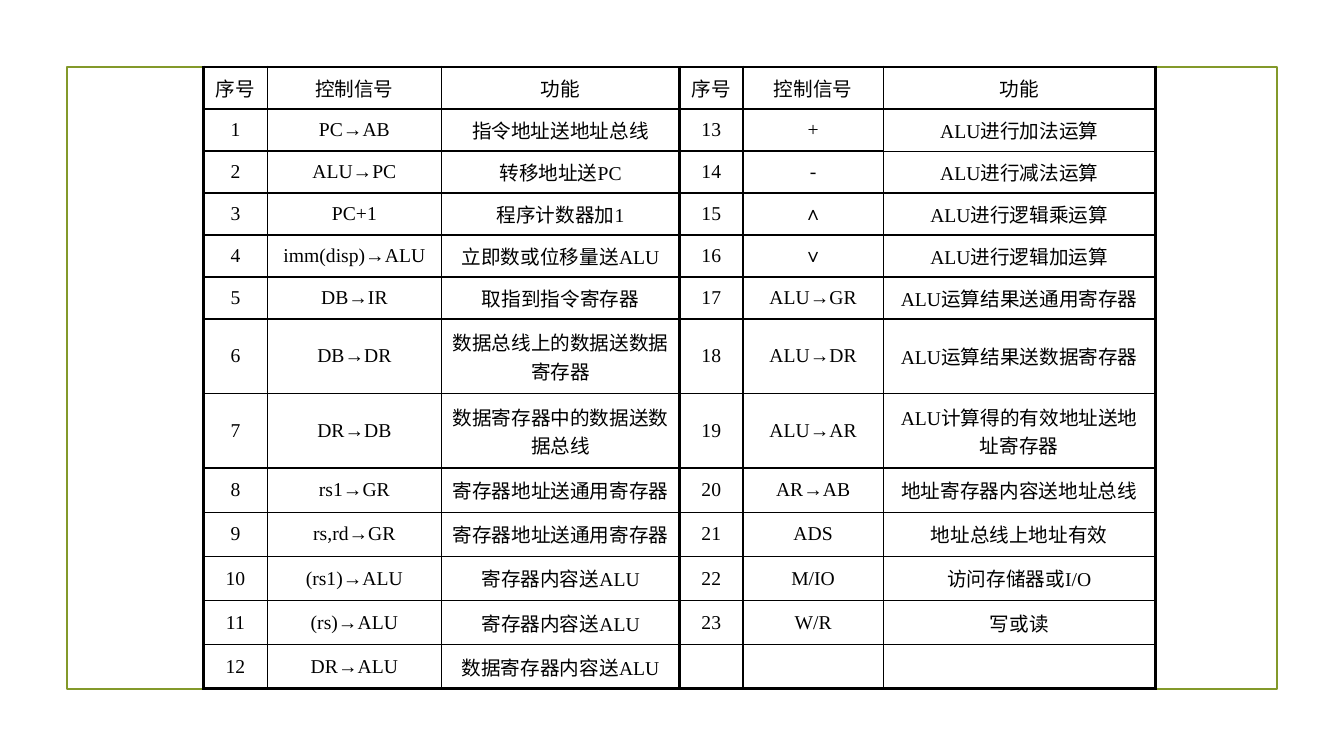
"""Build a slide with a table of CPU control signals and their functions."""
from lxml import etree
from pptx import Presentation
from pptx.dml.color import RGBColor
from pptx.enum.shapes import MSO_SHAPE
from pptx.enum.text import MSO_ANCHOR, PP_ALIGN
from pptx.oxml.ns import qn
from pptx.util import Inches, Pt

HEADER = ("序号", "控制信号", "功能")
SIGNALS = [
    ("PC→AB", "指令地址送地址总线"),
    ("ALU→PC", "转移地址送PC"),
    ("PC+1", "程序计数器加1"),
    ("imm(disp)→ALU", "立即数或位移量送ALU"),
    ("DB→IR", "取指到指令寄存器"),
    ("DB→DR", "数据总线上的数据送数据寄存器"),
    ("DR→DB", "数据寄存器中的数据送数据总线"),
    ("rs1→GR", "寄存器地址送通用寄存器"),
    ("rs,rd→GR", "寄存器地址送通用寄存器"),
    ("(rs1)→ALU", "寄存器内容送ALU"),
    ("(rs)→ALU", "寄存器内容送ALU"),
    ("DR→ALU", "数据寄存器内容送ALU"),
    ("+", "ALU进行加法运算"),
    ("-", "ALU进行减法运算"),
    ("∧", "ALU进行逻辑乘运算"),
    ("∨", "ALU进行逻辑加运算"),
    ("ALU→GR", "ALU运算结果送通用寄存器"),
    ("ALU→DR", "ALU运算结果送数据寄存器"),
    ("ALU→AR", "ALU计算得的有效地址送地址寄存器"),
    ("AR→AB", "地址寄存器内容送地址总线"),
    ("ADS", "地址总线上地址有效"),
    ("M/IO", "访问存储器或I/O"),
    ("W/R", "写或读"),
]

SLIDE_WIDTH, SLIDE_HEIGHT = 13.33, 7.5
FRAME_WIDTH, FRAME_HEIGHT = 12, 6.17
FRAME_LEFT = (SLIDE_WIDTH - FRAME_WIDTH) / 2
FRAME_TOP = (SLIDE_HEIGHT - FRAME_HEIGHT) / 2
TABLE_LEFT = 2.02
COLUMN_WIDTHS = [0.63, 1.73, 2.36, 0.63, 1.39, 2.7]
ROW_HEIGHTS = [2.5 / 6] * 6 + [0.74] * 2 + [2.19 / 5] * 5

BLACK = RGBColor(0x00, 0x00, 0x00)
OLIVE = RGBColor(0x83, 0x99, 0x2A)
FONT, FONT_SIZE = "Times New Roman", 14
THICK, THIN, HAIRLINE = 2.25, 1, 0.25
CENTER, MIDDLE = PP_ALIGN.CENTER, MSO_ANCHOR.MIDDLE
RECTANGLE = MSO_SHAPE.RECTANGLE


def table_rows():
    """Return the header and the two numbered halves set side by side."""
    half = len(ROW_HEIGHTS) - 1
    entries = [(str(number), *signal) for number, signal in enumerate(SIGNALS, 1)]
    entries += [("", "", "")] * (2 * half - len(entries))
    return [HEADER * 2] + [left + right for left, right in zip(entries[:half], entries[half:])]


def border_widths(row, column):
    """Return the left, right, top and bottom border widths of a cell."""
    part = column % len(HEADER)
    last_column = column == len(COLUMN_WIDTHS) - 1
    widths = {
        "lnL": THICK if part == 0 else THIN,
        "lnR": THICK if part == len(HEADER) - 1 else THIN,
        "lnT": THICK if row == 0 else THIN,
        "lnB": THICK if row == len(ROW_HEIGHTS) - 1 else THIN,
    }
    if last_column and row in (1, 2):
        widths["lnB" if row == 1 else "lnT"] = HAIRLINE
    return widths


def draw_borders(cell, widths):
    """Add the black borders to a cell."""
    properties = cell._tc.get_or_add_tcPr()
    for side, width in widths.items():
        line = etree.SubElement(properties, qn(f"a:{side}"), w=str(Pt(width)))
        fill = etree.SubElement(line, qn("a:solidFill"))
        etree.SubElement(fill, qn("a:srgbClr"), val=str(BLACK))


def fill_cell(cell, text, widths):
    """Write and format one cell."""
    cell.vertical_anchor = MIDDLE
    draw_borders(cell, widths)
    cell.fill.background()
    if not text:
        return
    cell.text_frame.text = text
    paragraph = cell.text_frame.paragraphs[0]
    paragraph.alignment = CENTER
    font = paragraph.runs[0].font
    font.name, font.size, font.color.rgb = FONT, Pt(FONT_SIZE), BLACK


def add_frame(slide):
    """Draw the olive frame behind the table."""
    frame = slide.shapes.add_shape(
        RECTANGLE, Inches(FRAME_LEFT), Inches(FRAME_TOP), Inches(FRAME_WIDTH), Inches(FRAME_HEIGHT)
    )
    frame.shadow.inherit = False
    frame.fill.background()
    frame.line.color.rgb = OLIVE
    frame.line.width = Pt(1.25)


def add_signal_table(slide):
    """Add the table of control signals."""
    rows = table_rows()
    table = slide.shapes.add_table(
        len(rows), len(COLUMN_WIDTHS), Inches(TABLE_LEFT), Inches(FRAME_TOP),
        Inches(sum(COLUMN_WIDTHS)), Inches(FRAME_HEIGHT)
    ).table
    table.first_row = table.horz_banding = False
    for column, width in zip(table.columns, COLUMN_WIDTHS):
        column.width = Inches(width)
    for row, height in zip(table.rows, ROW_HEIGHTS):
        row.height = Inches(height)
    for row, texts in enumerate(rows):
        for column, text in enumerate(texts):
            fill_cell(table.cell(row, column), text, border_widths(row, column))


def main():
    """Build and save the presentation."""
    presentation = Presentation()
    presentation.slide_width = Inches(SLIDE_WIDTH)
    presentation.slide_height = Inches(SLIDE_HEIGHT)
    slide = presentation.slides.add_slide(presentation.slide_layouts[6])
    add_frame(slide)
    add_signal_table(slide)
    presentation.save("out.pptx")


if __name__ == "__main__":
    main()
